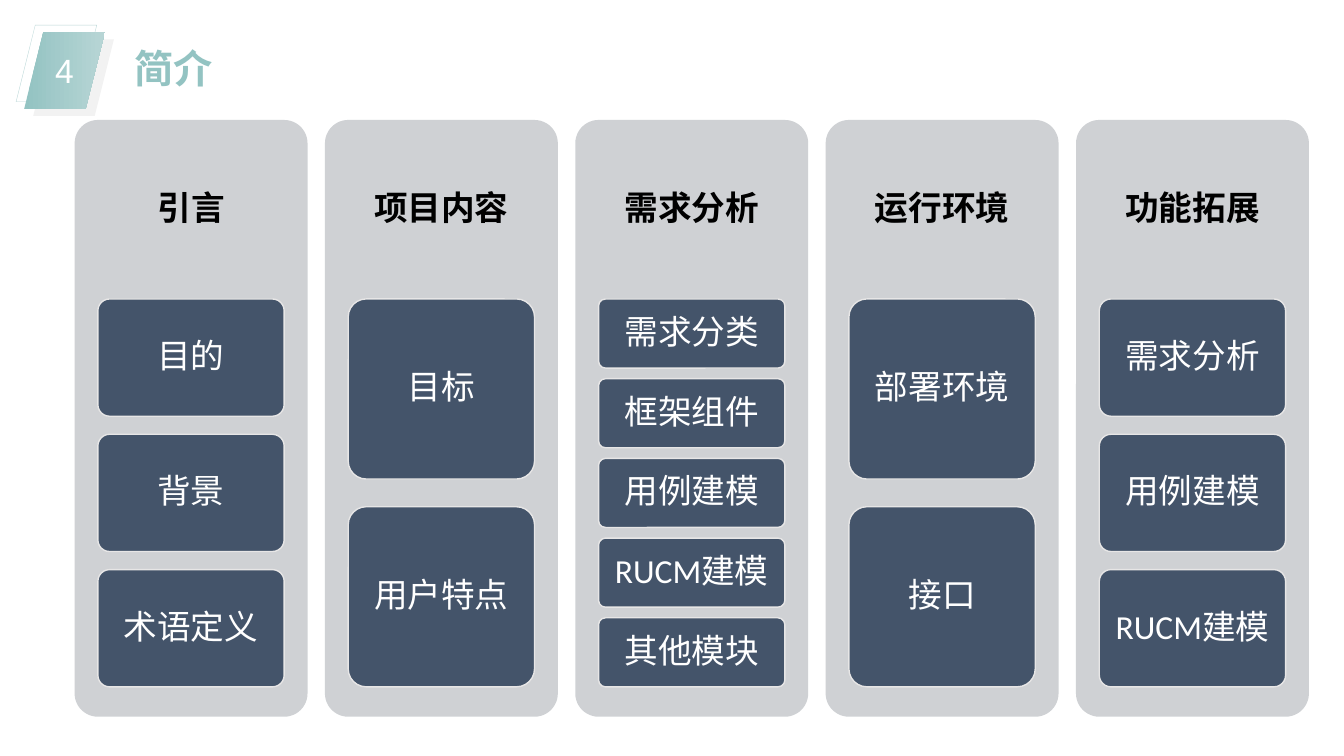
import pptx
import pptx.dml.color
import pptx.enum.shapes
import pptx.enum.text
import pptx.util

Inches, Pt = pptx.util.Inches, pptx.util.Pt
Shape = pptx.enum.shapes.MSO_SHAPE
Anchor = pptx.enum.text.MSO_ANCHOR
Align = pptx.enum.text.PP_ALIGN

TITLE = "简介"
NUMBER = "4"
COLUMNS = [
    ("引言", ["目的", "背景", "术语定义"]),
    ("项目内容", ["目标", "用户特点"]),
    ("需求分析", ["需求分类", "框架组件", "用例建模", "RUCM建模", "其他模块"]),
    ("运行环境", ["部署环境", "接口"]),
    ("功能拓展", ["需求分析", "用例建模", "RUCM建模"]),
]

TEAL, PALE_TEAL, WHITE = "93C3C2", "B7D5D5", "FFFFFF"
PANEL_LEFT, PANEL_TOP, PANEL_WIDTH, PANEL_HEIGHT = 0.74, 1.19, 2.31, 5.92
PANEL_STEP = 2.483
HEADER_HEIGHT = 0.3 * PANEL_HEIGHT
CARDS_HEIGHT = 0.65 * PANEL_HEIGHT
CARD_WIDTH = 0.8 * PANEL_WIDTH
GAP_RATIO = 2 / 13  # gap between cards as a share of card height


def color(value):
    return pptx.dml.color.RGBColor.from_string(value)


def add_shape(kind, left, top, width, height, fill=None, line=None, line_width=1):
    shape = page.shapes.add_shape(
        kind, Inches(left), Inches(top), Inches(width), Inches(height))
    shape.shadow.inherit = False
    if fill:
        shape.fill.solid()
        shape.fill.fore_color.rgb = color(fill)
    else:
        shape.fill.background()
    if line:
        shape.line.color.rgb = color(line)
        shape.line.width = Pt(line_width)
    else:
        shape.line.fill.background()
    return shape


def write(shape, text, font, size, ink, bold=False, align=Align.CENTER,
          spacing=None, anchor=Anchor.MIDDLE):
    frame = shape.text_frame
    frame.text = text
    frame.vertical_anchor = anchor
    para = frame.paragraphs[0]
    para.alignment = align
    para.line_spacing = spacing
    para.font.name = font
    para.font.size = Pt(size)
    para.font.bold = bold
    para.font.color.rgb = color(ink)
    return frame


def add_badge():
    size = (0.8, 0.76)
    add_shape(Shape.PARALLELOGRAM, 0.16, 0.25, *size, line="BAD7D7", line_width=0.25)
    add_shape(Shape.PARALLELOGRAM, 0.33, 0.39, *size, fill="F2F2F2")
    badge = add_shape(Shape.PARALLELOGRAM, 0.24, 0.32, *size)
    badge.fill.gradient()
    badge.fill.gradient_angle = 0
    for stop, position, tint in zip(badge.fill.gradient_stops, (0, 0.99), (TEAL, PALE_TEAL)):
        stop.position = position
        stop.color.rgb = color(tint)
    frame = write(badge, NUMBER, "Arial", 24, WHITE)
    frame.word_wrap = False
    frame.margin_left = frame.margin_right = frame.margin_top = frame.margin_bottom = 0


def add_title():
    title = page.shapes.title
    title.left, title.top = Inches(1.23), Inches(0.39)
    title.width, title.height = Inches(3.25), Inches(0.57)
    frame = write(title, TITLE, "Arial", 28, TEAL, bold=True,
                  align=Align.LEFT, anchor=Anchor.TOP)
    frame.auto_size = pptx.enum.text.MSO_AUTO_SIZE.NONE


def add_column(left, header, labels):
    panel = add_shape(Shape.ROUNDED_RECTANGLE, left, PANEL_TOP,
                      PANEL_WIDTH, PANEL_HEIGHT, fill="CFD1D4")
    panel.adjustments[0] = 0.1
    frame = write(panel, header, "Calibri", 24, "000000", bold=True, spacing=0.9)
    frame.margin_top = Inches(0.1)
    frame.margin_bottom = Inches(PANEL_HEIGHT - HEADER_HEIGHT + 0.1)

    count = len(labels)
    card_height = CARDS_HEIGHT / (count + (count - 1) * GAP_RATIO)
    card_left = left + (PANEL_WIDTH - CARD_WIDTH) / 2
    for row, label in enumerate(labels):
        card_top = PANEL_TOP + HEADER_HEIGHT + row * card_height * (1 + GAP_RATIO)
        card = add_shape(Shape.ROUNDED_RECTANGLE, card_left, card_top,
                         CARD_WIDTH, card_height, fill="44546A", line="E7E6E6")
        card.adjustments[0] = 0.1
        frame = write(card, label, "Calibri", 24, WHITE, spacing=0.9)
        frame.margin_left = frame.margin_right = Inches(0.02)
        frame.margin_top = frame.margin_bottom = Inches(0.05)


deck = pptx.Presentation()
deck.slide_width, deck.slide_height = Inches(13.33), Inches(7.5)
page = deck.slides.add_slide(deck.slide_layouts[5])
add_badge()
add_title()
for index, (header, labels) in enumerate(COLUMNS):
    add_column(PANEL_LEFT + index * PANEL_STEP, header, labels)
deck.save("out.pptx")
